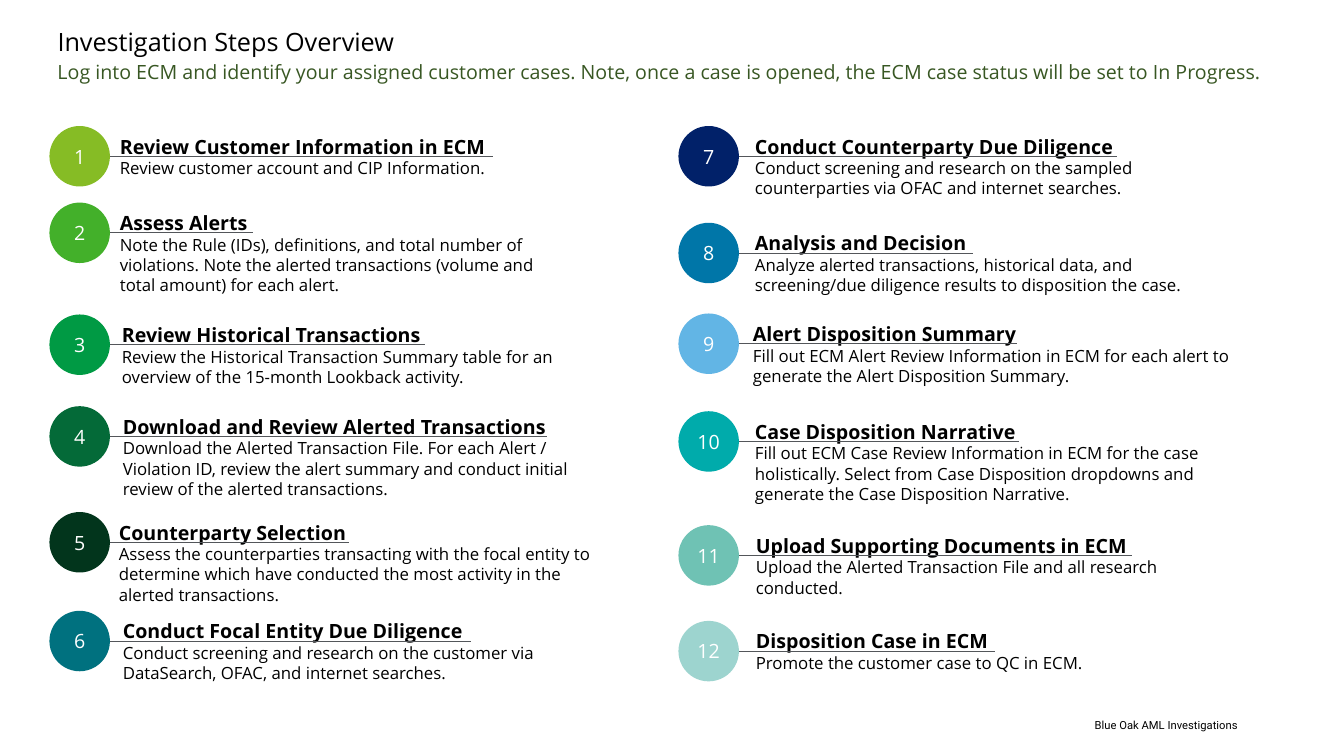
import pptx
import pptx.util
import pptx.dml.color
import pptx.enum.shapes
import pptx.enum.text
import pptx.oxml.ns
import lxml.etree

RGBColor = pptx.dml.color.RGBColor
Alignment = pptx.enum.text.PP_ALIGN
Anchor = pptx.enum.text.MSO_ANCHOR

BLACK = RGBColor(0x00, 0x00, 0x00)
WHITE = RGBColor(0xFF, 0xFF, 0xFF)
SUBTITLE_GREEN = RGBColor(0x38, 0x57, 0x23)
RULE_GRAY = RGBColor(0x53, 0x56, 0x5A)
STEP_COLORS = [
    RGBColor(0x86, 0xBC, 0x25), RGBColor(0x43, 0xB0, 0x2A),
    RGBColor(0x00, 0x9A, 0x44), RGBColor(0x04, 0x6A, 0x38),
    RGBColor(0x02, 0x35, 0x1C), RGBColor(0x00, 0x71, 0x7F),
    RGBColor(0x01, 0x21, 0x69), RGBColor(0x00, 0x76, 0xA8),
    RGBColor(0x62, 0xB5, 0xE5), RGBColor(0x00, 0xAB, 0xAB),
    RGBColor(0x6F, 0xC2, 0xB4), RGBColor(0x9D, 0xD4, 0xCF),
]

SLIDE_WIDTH = pptx.util.Inches(13.33)
SLIDE_HEIGHT = pptx.util.Inches(7.5)
BODY_FONT = "Open Sans"
FOOTER_FONT = "Roboto"

# All lengths below are percentages of the slide's width or height.
COLUMN_LEFTS = (3.68, 50.48)
STEPS_PER_COLUMN = 6
CIRCLE_WIDTH, CIRCLE_HEIGHT = 4.5, 8
TEXT_DROP = 0.4
HEADING_HEIGHT, LINE_HEIGHT = 4.53, 2.67
NARROW, WIDE = 34.13, 36.98

# Circle top, text left, text width, rule end, body lines, heading, body
STEPS = [
    (16.67, 8.18, NARROW, 36.68, 1, "Review Customer Information in ECM",
     "Review customer account and CIP Information."),
    (26.8, 8.18, NARROW, 18.83, 3, "Assess Alerts",
     "Note the Rule (IDs), definitions, and total number of violations. "
     "Note the alerted transactions (volume and total amount) for each alert."),
    (41.6, 8.33, NARROW, 31.65, 2, "Review Historical Transactions",
     "Review the Historical Transaction Summary table for an overview of "
     "the 15-month Lookback activity."),
    (53.73, 8.4, WIDE, 40.73, 3, "Download and Review Alerted Transactions",
     "Download the Alerted Transaction File. For each Alert / Violation ID, "
     "review the alert summary and conduct initial review of the alerted transactions."),
    (67.73, 8.1, WIDE, 25.95, 3, "Counterparty Selection",
     "Assess the counterparties transacting with the focal entity to determine "
     "which have conducted the most activity in the alerted transactions."),
    (80.8, 8.4, WIDE, 35.03, 2, "Conduct Focal Entity Due Diligence",
     "Conduct screening and research on the customer via DataSearch, OFAC, "
     "and internet searches."),
    (16.67, 55.43, WIDE, 83.1, 2, "Conduct Counterparty Due Diligence",
     "Conduct screening and research on the sampled counterparties via OFAC "
     "and internet searches."),
    (29.47, 55.43, WIDE, 72.38, 2, "Analysis and Decision",
     "Analyze alerted transactions, historical data, and screening/due "
     "diligence results to disposition the case."),
    (41.47, 55.28, WIDE, 75.68, 2, "Alert Disposition Summary",
     "Fill out ECM Alert Review Information in ECM for each alert to generate "
     "the Alert Disposition Summary."),
    (54.4, 55.43, WIDE, 75.83, 3, "Case Disposition Narrative",
     "Fill out ECM Case Review Information in ECM for the case holistically. "
     "Select from Case Disposition dropdowns and generate the Case Disposition Narrative."),
    (69.47, 55.5, WIDE, 84.23, 2, "Upload Supporting Documents in ECM",
     "Upload the Alerted Transaction File and all research conducted."),
    (82.13, 55.5, WIDE, 74.03, 1, "Disposition Case in ECM",
     "Promote the customer case to QC in ECM."),
]


def across(share):
    return round(SLIDE_WIDTH * share / 100)


def down(share):
    return round(SLIDE_HEIGHT * share / 100)


def place(left, top, width, height):
    return across(left), down(top), across(width), down(height)


def write(paragraph, text, size, color=BLACK, bold=False, name=BODY_FONT):
    paragraph.text = text
    paragraph.font.name = name
    paragraph.font.size = pptx.util.Pt(size)
    paragraph.font.bold = bold
    paragraph.font.color.rgb = color


def add_label(slide, box, text, size, color=BLACK, name=BODY_FONT,
              alignment=Alignment.LEFT, spacing=None):
    frame = slide.shapes.add_textbox(*place(*box)).text_frame
    frame.word_wrap = True
    frame.margin_left = frame.margin_right = 0
    frame.margin_top = frame.margin_bottom = 0
    paragraph = frame.paragraphs[0]
    write(paragraph, text, size, color, name=name)
    paragraph.alignment = alignment
    paragraph.line_spacing = spacing


def add_circle(slide, left, top, number, color):
    circle = slide.shapes.add_shape(
        pptx.enum.shapes.MSO_SHAPE.OVAL,
        *place(left, top, CIRCLE_WIDTH, CIRCLE_HEIGHT))
    circle.shadow.inherit = False
    circle.fill.solid()
    circle.fill.fore_color.rgb = color
    circle.line.fill.background()
    frame = circle.text_frame
    frame.word_wrap = False
    frame.vertical_anchor = Anchor.MIDDLE
    write(frame.paragraphs[0], str(number), 14, WHITE)
    frame.paragraphs[0].alignment = Alignment.CENTER


def add_rule(slide, start, end, height):
    rule = slide.shapes.add_connector(
        pptx.enum.shapes.MSO_CONNECTOR.STRAIGHT,
        across(start), down(height), across(end), down(height))
    rule.line.color.rgb = RULE_GRAY
    rule.line.width = pptx.util.Pt(0.75)
    lxml.etree.SubElement(rule._element.spPr, pptx.oxml.ns.qn("a:effectLst"))


def add_description(slide, box, heading, body):
    frame = slide.shapes.add_textbox(*place(*box)).text_frame
    frame.word_wrap = True
    frame.auto_size = pptx.enum.text.MSO_AUTO_SIZE.SHAPE_TO_FIT_TEXT
    frame.vertical_anchor = Anchor.MIDDLE
    write(frame.paragraphs[0], heading, 14, bold=True)
    write(frame.add_paragraph(), body, 12)


def add_step(slide, index, step):
    top, text_left, text_width, rule_end, lines, heading, body = step
    left = COLUMN_LEFTS[index // STEPS_PER_COLUMN]
    text_height = HEADING_HEIGHT + lines * LINE_HEIGHT
    add_circle(slide, left, top, index + 1, STEP_COLORS[index])
    add_description(slide, (text_left, top + TEXT_DROP, text_width, text_height),
                    heading, body)
    add_rule(slide, left + CIRCLE_WIDTH, rule_end, top + CIRCLE_HEIGHT / 2)


def main():
    presentation = pptx.Presentation()
    presentation.slide_width = SLIDE_WIDTH
    presentation.slide_height = SLIDE_HEIGHT
    slide = presentation.slides.add_slide(presentation.slide_layouts[6])
    add_label(slide, (4.28, 3.87, 92.5, 4.93), "Investigation Steps Overview",
              18, spacing=0.9)
    add_label(slide, (4.28, 8.27, 89.65, 6.27),
              "Log into ECM and identify your assigned customer cases. Note, once a "
              "case is opened, the ECM case status will be set to In Progress.",
              14, SUBTITLE_GREEN, spacing=0.9)
    for index, step in enumerate(STEPS):
        add_step(slide, index, step)
    add_label(slide, (51.98, 95.07, 40.13, 1.73), "Blue Oak AML Investigations",
              8, name=FOOTER_FONT, alignment=Alignment.RIGHT)
    presentation.save("out.pptx")


if __name__ == "__main__":
    main()
